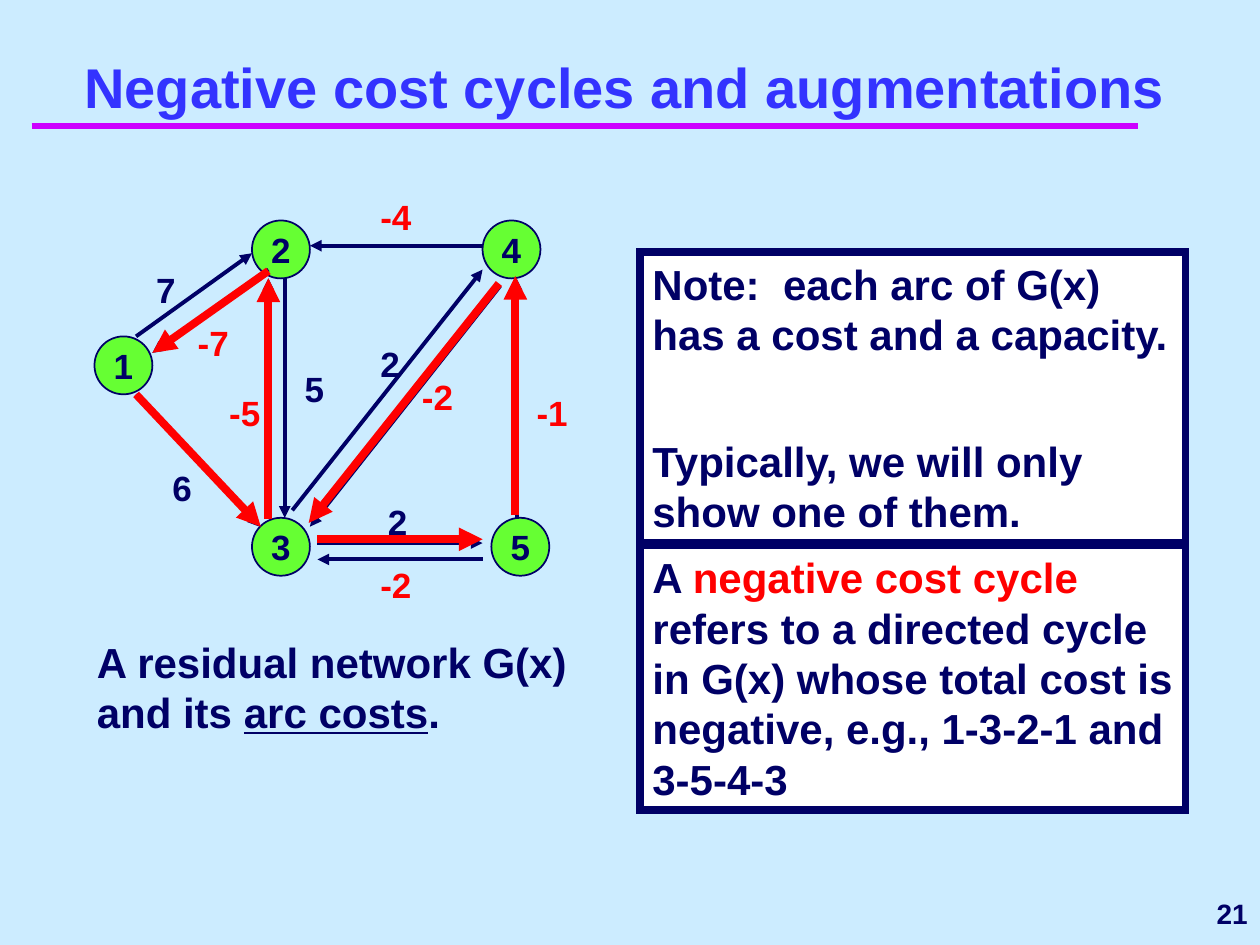
from dataclasses import dataclass
from typing import NamedTuple

from lxml import etree
from pptx import Presentation
from pptx.dml.color import RGBColor
from pptx.enum import shapes, text
from pptx.oxml import ns
from pptx.util import Inches, Pt


@dataclass(frozen=True)
class Theme:
    font: str = "Arial"
    background: str = "CCECFF"
    title: str = "3333FF"
    rule: str = "CC00FF"
    ink: str = "000066"
    accent: str = "FF0000"
    node: str = "66FF33"
    panel: str = "FFFFFF"
    title_size: float = 32
    body_size: float = 24
    label_size: float = 20
    number_size: float = 16


THEME = Theme()
NODE_SIZE = 0.46


class Node(NamedTuple):
    name: str
    left: float
    top: float


class Arc(NamedTuple):
    start: tuple[float, float]
    end: tuple[float, float]


class Label(NamedTuple):
    cost: str
    left: float
    top: float


class Run(NamedTuple):
    words: str
    color: str = THEME.ink
    underline: bool = False


NODES = [Node("1", 0.75, 2.67), Node("2", 2, 1.75), Node("4", 3.83, 1.75),
         Node("3", 2, 4.11), Node("5", 3.9, 4.11)]

ARCS = [
    Arc((2.52, 4.31), (3.83, 4.31)), Arc((3.83, 1.95), (2.46, 1.95)),
    Arc((1.08, 2.67), (2, 2.01)), Arc((1.08, 3.13), (2.06, 4.18)),
    Arc((4.1, 4.11), (4.1, 2.21)), Arc((2.26, 2.21), (2.26, 4.11)),
    Arc((2.32, 4.05), (3.83, 2.14)), Arc((2.13, 2.14), (1.21, 2.8)),
    Arc((2.13, 4.11), (2.13, 2.21)), Arc((3.97, 2.27), (2.46, 4.18)),
    Arc((3.83, 4.44), (2.52, 4.44)),
]

CYCLES = [
    [Arc((1.08, 3.13), (2.07, 4.18)), Arc((2.13, 4.12), (2.13, 2.21)),
     Arc((2.13, 2.15), (1.21, 2.8))],
    [Arc((2.52, 4.28), (3.83, 4.28)), Arc((4.09, 4.09), (4.09, 2.19)),
     Arc((3.96, 2.25), (2.45, 4.15))],
]

LABELS = [
    Label("2", 2.92, 2.67), Label("2", 2.98, 3.92), Label("6", 1.27, 3.65),
    Label("7", 1.14, 2.08), Label("-7", 1.47, 2.5), Label("-5", 1.72, 3.06),
    Label("-2", 3.25, 2.93), Label("-2", 2.92, 4.42), Label("-1", 4.16, 3.06),
    Label("-4", 2.92, 1.5), Label("5", 2.32, 2.87),
]

NOTE = [[Run("Note:  each arc of G(x) has a cost and a capacity.")],
        [Run("Typically, we will only show one of them.")]]
CAPTION = [[Run("A residual network G(x) and its "),
            Run("arc costs", underline=True), Run(".")]]
DEFINITION = [[Run("A "), Run("negative cost cycle", THEME.accent),
               Run(" refers to a directed cycle in G(x) whose total cost is "
                   "negative, e.g., 1-3-2-1 and 3-5-4-3")]]


def apply_format(target, values: dict) -> None:
    for name, value in values.items():
        setattr(target, name, value)


def add_outline_part(shape, tag: str, **attributes: str) -> None:
    """Append an arrowhead or corner join to the shape's outline."""
    outline = shape.element.spPr.find(ns.qn("a:ln"))
    etree.SubElement(outline, ns.qn(tag), **attributes)


def write_text(shape, paragraphs: list[list[Run]], size: float,
               align=text.PP_ALIGN.LEFT, anchor=text.MSO_ANCHOR.TOP,
               wrap: bool = True, gap: float = 0) -> None:
    """Fill a shape with styled runs; gap is the space between paragraphs."""
    frame = shape.text_frame
    apply_format(frame, {"word_wrap": wrap, "vertical_anchor": anchor,
                         "auto_size": text.MSO_AUTO_SIZE.NONE})
    for index, runs in enumerate(paragraphs):
        paragraph = frame.add_paragraph() if index else frame.paragraphs[0]
        apply_format(paragraph, {"alignment": align, "line_spacing": 1.0,
                                 "space_before": Pt(gap if index else 0)})
        for item in runs:
            run = paragraph.add_run()
            run.text = item.words
            apply_format(run.font, {"name": THEME.font, "size": Pt(size),
                                    "bold": True, "underline": item.underline})
            run.font.color.rgb = RGBColor.from_string(item.color)


def add_line(container, arc: Arc, color: str, width: float, arrow: bool = True):
    line = container.add_connector(shapes.MSO_CONNECTOR.STRAIGHT,
                                   *map(Inches, arc.start + arc.end))
    line.line.color.rgb = RGBColor.from_string(color)
    line.line.width = Pt(width)
    if arrow:
        add_outline_part(line, "a:tailEnd", type="triangle")
    etree.SubElement(line.element.spPr, ns.qn("a:effectLst"))
    return line


def add_filled(container, kind, box: tuple, fill: str, width: float):
    shape = container.add_shape(kind, *map(Inches, box))
    shape.shadow.inherit = False
    shape.fill.solid()
    shape.fill.fore_color.rgb = RGBColor.from_string(fill)
    shape.line.color.rgb = RGBColor.from_string(THEME.ink)
    shape.line.width = Pt(width)
    return shape


def add_node(container, node: Node) -> None:
    circle = add_filled(container, shapes.MSO_SHAPE.OVAL,
                        (node.left, node.top, NODE_SIZE, NODE_SIZE), THEME.node, 1)
    write_text(circle, [[Run(node.name)]], THEME.label_size,
               text.PP_ALIGN.CENTER, text.MSO_ANCHOR.MIDDLE, wrap=False)


def add_label(container, label: Label) -> None:
    color = THEME.accent if label.cost.startswith("-") else THEME.ink
    box = container.add_textbox(*map(Inches, (label.left, label.top, 0.52, 0.44)))
    write_text(box, [[Run(label.cost, color)]], THEME.label_size)


def add_panel(slide, top: float, height: float, paragraphs: list[list[Run]]) -> None:
    panel = add_filled(slide.shapes, shapes.MSO_SHAPE.RECTANGLE,
                       (5.08, top, 4.33, height), THEME.panel, 4.5)
    add_outline_part(panel, "a:miter", lim="800000")
    write_text(panel, paragraphs, THEME.body_size, gap=43.5)


def add_title(slide) -> None:
    title = slide.shapes.title
    box = map(Inches, (0.17, 0.25, 9.58, 0.75))
    apply_format(title, dict(zip(("left", "top", "width", "height"), box)))
    write_text(title, [[Run("Negative cost cycles and augmentations", THEME.title)]],
               THEME.title_size, text.PP_ALIGN.CENTER, text.MSO_ANCHOR.BOTTOM)
    rule = add_line(slide.shapes, Arc((0.25, 1), (9.03, 1)), THEME.rule, 4, arrow=False)
    title.element.addprevious(rule.element)


def add_network(slide) -> None:
    network = slide.shapes.add_group_shape().shapes
    for node in NODES:
        add_node(network, node)
    for arc in ARCS:
        add_line(network, arc, THEME.ink, 2.25)
    for label in LABELS:
        add_label(network, label)


def main() -> None:
    presentation = Presentation()
    presentation.slide_width, presentation.slide_height = Inches(10), Inches(7.5)
    slide = presentation.slides.add_slide(presentation.slide_layouts[5])
    slide.background.fill.solid()
    slide.background.fill.fore_color.rgb = RGBColor.from_string(THEME.background)

    add_title(slide)
    number = slide.shapes.add_textbox(*map(Inches, (8.08, 7, 1.92, 0.5)))
    write_text(number, [[Run("21")]], THEME.number_size,
               text.PP_ALIGN.RIGHT, text.MSO_ANCHOR.MIDDLE)
    add_network(slide)
    add_panel(slide, 2, 2.31, NOTE)
    caption = slide.shapes.add_textbox(*map(Inches, (0.67, 5, 4.08, 0.9)))
    write_text(caption, CAPTION, THEME.body_size)
    add_panel(slide, 4.33, 2.1, DEFINITION)
    for cycle in CYCLES:
        group = slide.shapes.add_group_shape().shapes
        for arc in cycle:
            add_line(group, arc, THEME.accent, 4.5)
    presentation.save("out.pptx")


if __name__ == "__main__":
    main()
